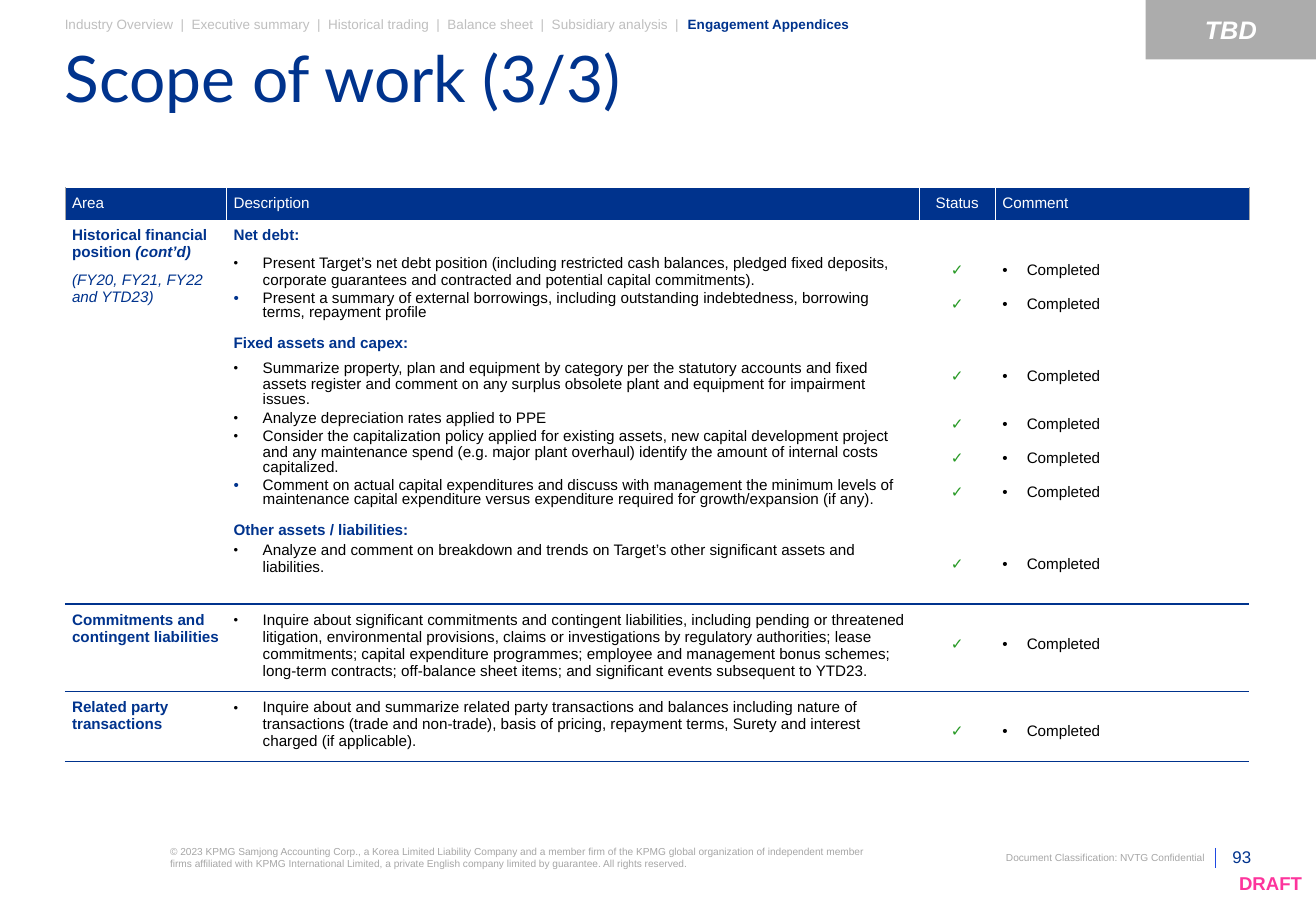
from dataclasses import dataclass, replace
from typing import Optional

from lxml.etree import SubElement
from pptx import Presentation
from pptx.dml.color import RGBColor
from pptx.enum.shapes import MSO_CONNECTOR as Connector, MSO_SHAPE as Shape
from pptx.enum.text import MSO_ANCHOR as Anchor, PP_ALIGN as Align
from pptx.oxml.ns import qn
from pptx.util import Pt

NAVY = RGBColor(0x00, 0x33, 0x8D)
BLUE = RGBColor(0x1E, 0x49, 0xE2)
PINK = RGBColor(0xFD, 0x34, 0x9C)
GREEN = RGBColor(0x26, 0x99, 0x24)
BLACK = RGBColor(0x00, 0x00, 0x00)
WHITE = RGBColor(0xFF, 0xFF, 0xFF)
TAG_GREY = RGBColor(0xAC, 0xAC, 0xAC)
FOOTER_GREY = RGBColor(0xA6, 0xA6, 0xA6)
CRUMB_GREY = RGBColor(0xBF, 0xBF, 0xBF)

INSET = 4.32
BLANK_LINE = 14.35  # one 9 pt line with its spacing
TICK_GAP = 6


@dataclass(frozen=True)
class Span:
    text: str
    color: RGBColor = BLACK
    bold: bool = False
    italic: bool = False
    size: float = 9
    font: str = "Arial"


@dataclass(frozen=True)
class Para:
    spans: tuple[Span, ...]
    before: float = 0
    after: float = 0
    spacing: Optional[float] = None
    align: Align = Align.LEFT
    indent: float = 0
    bullet_percent: int = 100
    bullet_color: Optional[RGBColor] = None


@dataclass(frozen=True)
class Label:
    para: Para
    left: float
    top: float
    width: float
    height: float
    anchor: Anchor = Anchor.TOP
    inset_top: float = 0


@dataclass(frozen=True)
class Area:
    name: tuple[Para, ...]
    description: tuple[Para, ...]
    first_tick: float  # distance of the first tick below the cell inset
    tick_gaps: tuple[float, ...]
    height: float


def area_name(*spans: Span) -> Para:
    return Para(spans, after=6)


def heading(text: str, before: float = 6, after: float = 6) -> Para:
    return Para((Span(text, NAVY, bold=True),), before, after)


def task(text: str, spacing: Optional[float] = None, after: float = 2) -> Para:
    return Para((Span(text),), after=after, spacing=spacing, indent=17.28, bullet_percent=85)


def blue_task(text: str) -> Para:
    return replace(task(text, 0.85), bullet_percent=100, bullet_color=NAVY)


def write(frame, paras: tuple[Para, ...]) -> None:
    frame.word_wrap = True
    for index, para in enumerate(paras):
        line = frame.paragraphs[0] if index == 0 else frame.add_paragraph()
        line.alignment = para.align
        line.space_before, line.space_after = Pt(para.before), Pt(para.after)
        if para.spacing:
            line.line_spacing = para.spacing
        if para.indent:
            props = line._p.get_or_add_pPr()
            props.set("marL", str(Pt(para.indent)))
            props.set("indent", str(-Pt(para.indent)))
            if para.bullet_color:
                color = SubElement(props, qn("a:buClr"))
                SubElement(color, qn("a:srgbClr")).set("val", str(para.bullet_color))
            SubElement(props, qn("a:buSzPct")).set("val", str(para.bullet_percent * 1000))
            SubElement(props, qn("a:buFont")).set("typeface", "Arial")
            SubElement(props, qn("a:buChar")).set("char", "•")
        for span in para.spans:
            run = line.add_run()
            run.text = span.text
            font = run.font
            font.name, font.size = span.font, Pt(span.size)
            font.bold, font.italic = span.bold, span.italic
            font.color.rgb = span.color


def add_label(slide, label: Label) -> None:
    box = slide.shapes.add_textbox(Pt(label.left), Pt(label.top), Pt(label.width), Pt(label.height))
    frame = box.text_frame
    frame.margin_left = frame.margin_right = frame.margin_bottom = 0
    frame.margin_top = Pt(label.inset_top)
    frame.vertical_anchor = label.anchor
    write(frame, (label.para,))


def fill_cell(cell, paras: tuple[Para, ...], fill: RGBColor,
              borders: dict[str, tuple[RGBColor, float]], top: float = INSET) -> None:
    cell.margin_left = cell.margin_right = cell.margin_bottom = Pt(INSET)
    cell.margin_top = Pt(top)
    write(cell.text_frame, paras)
    props = cell._tc.get_or_add_tcPr()
    for side in "LRTB":
        border = SubElement(props, qn(f"a:ln{side}"))
        if side in borders:
            color, width = borders[side]
            border.set("w", str(Pt(width)))
            solid = SubElement(border, qn("a:solidFill"))
            SubElement(solid, qn("a:srgbClr")).set("val", str(color))
        else:
            border.set("w", "0")
            SubElement(border, qn("a:noFill"))
    cell.fill.solid()
    cell.fill.fore_color.rgb = fill


COLUMNS = (("Area", 95.75), ("Description", 410.75), ("Status", 45), ("Comment", 150.5))
HEADER_HEIGHT = 19

AREAS = (
    Area(
        (area_name(Span("Historical financial position", NAVY, True), Span(" (cont’d)", NAVY, True, True)),
         area_name(Span("(FY20, FY21, FY22 and YTD23)", NAVY, italic=True))),
        (heading("Net debt:", before=0),
         task("Present Target’s net debt position (including restricted cash balances, pledged fixed deposits, corporate guarantees and contracted and potential capital commitments)."),
         blue_task("Present a summary of external borrowings, including outstanding indebtedness, borrowing terms, repayment profile"),
         heading("Fixed assets and capex:"),
         task("Summarize property, plan and equipment by category per the statutory accounts and fixed assets register and comment on any surplus obsolete plant and equipment for impairment issues.", 0.9),
         task("Analyze depreciation rates applied to PPE", 0.9),
         task("Consider the capitalization policy applied for existing assets, new capital development project and any maintenance spend (e.g. major plant overhaul) identify the amount of internal costs capitalized.", 0.9),
         blue_task("Comment on actual capital expenditures and discuss with management the minimum levels of maintenance capital expenditure versus expenditure required for growth/expansion (if any)."),
         heading("Other assets / liabilities:", after=2),
         task("Analyze and comment on breakdown and trends on Target’s other significant assets and liabilities.")),
        BLANK_LINE + TICK_GAP,
        (0, TICK_GAP, 2 * BLANK_LINE, BLANK_LINE, TICK_GAP, TICK_GAP, 2 * BLANK_LINE), 216),
    Area((area_name(Span("Commitments and contingent liabilities", NAVY, True)),),
         (task("Inquire about significant commitments and contingent liabilities, including pending or threatened litigation, environmental provisions, claims or investigations by regulatory authorities; lease commitments; capital expenditure programmes; employee and management bonus schemes; long-term contracts; off-balance sheet items; and significant events subsequent to YTD23.", after=6),),
         BLANK_LINE, (0,), 49.2),
    Area((area_name(Span("Related party transactions", NAVY, True)),),
         (task("Inquire about and summarize related party transactions and balances including nature of transactions (trade and non-trade), basis of pricing, repayment terms, Surety and interest charged (if applicable).", after=6),),
         BLANK_LINE, (0,), 39.7),
)

LABELS = (
    # Breadcrumb and title
    Label(Para((Span("Industry Overview  |  Executive summary  |  Historical trading  |  Balance sheet  |  Subsidiary analysis  |  ", CRUMB_GREY, size=8),
                Span("Engagement Appendices", NAVY, True, size=8)), spacing=1.1), 38.4, 8.6, 631.4, 10.1),
    Label(Para((Span("Scope of work (3/3)", NAVY, size=38, font="Lato"),), spacing=0.7), 38.4, 35.3, 702, 56.9),
    # Footer
    Label(Para((Span("© 2023 KPMG Samjong Accounting Corp., a Korea Limited Liability Company and a member firm of the KPMG global organization of independent member firms affiliated with KPMG International Limited, a private English company limited by guarantee. All rights reserved.", FOOTER_GREY, size=6),)),
          100.8, 501.1, 425.5, 14.4),
    Label(Para((Span("Document Classification: NVTG Confidential", FOOTER_GREY, size=6),), align=Align.RIGHT),
          584, 504.7, 130, 7.2),
    Label(Para((Span("93", NAVY, size=10),), align=Align.RIGHT), 722.2, 502.6, 19.4, 11.5, Anchor.BOTTOM),
    Label(Para((Span("DRAFT", PINK, True, size=11),), spacing=0.8, align=Align.RIGHT),
          725, 513.4, 46.8, 19.4, Anchor.MIDDLE, 2.9),
)


def add_scope_table(slide) -> None:
    height = HEADER_HEIGHT + sum(area.height for area in AREAS)
    width = sum(column_width for _, column_width in COLUMNS)
    table = slide.shapes.add_table(len(AREAS) + 1, len(COLUMNS), Pt(38.4), Pt(111.2), Pt(width), Pt(height)).table
    table.first_row = table.horz_banding = False

    # Header row
    table.rows[0].height = Pt(HEADER_HEIGHT)
    for index, (name, column_width) in enumerate(COLUMNS):
        table.columns[index].width = Pt(column_width)
        outer, inner = (FOOTER_GREY, 0.25), (WHITE, 0.75)
        borders = {"L": inner if index else outer,
                   "R": inner if index < len(COLUMNS) - 1 else outer,
                   "T": (WHITE, 0.25)}
        align = Align.CENTER if name == "Status" else Align.LEFT
        cell = table.cell(0, index)
        cell.vertical_anchor = Anchor.MIDDLE
        fill_cell(cell, (Para((Span(name, WHITE),), after=6, spacing=0.97, align=align),), NAVY, borders)

    # One row per area of work
    for row, area in enumerate(AREAS, start=1):
        table.rows[row].height = Pt(area.height)
        ticks = tuple(Para((Span("✓", GREEN),), gap, 4, align=Align.CENTER) for gap in area.tick_gaps)
        comments = tuple(Para((Span("Completed"),), gap, 4, indent=14.4) for gap in area.tick_gaps)
        tick_top = INSET + area.first_tick
        contents = ((area.name, INSET), (area.description, INSET), (ticks, tick_top), (comments, tick_top))
        for column, (paras, top) in enumerate(contents):
            fill_cell(table.cell(row, column), paras, WHITE, {"B": (NAVY, 0.75)}, top)


def main() -> None:
    deck = Presentation()
    deck.slide_width, deck.slide_height = Pt(780), Pt(540)
    slide = deck.slides.add_slide(deck.slide_layouts[6])

    for label in LABELS:
        add_label(slide, label)
    add_scope_table(slide)

    # Divider beside the page number
    divider = slide.shapes.add_connector(Connector.STRAIGHT, Pt(720.7), Pt(502.6), Pt(720.7), Pt(514.8))
    divider.line.color.rgb, divider.line.width = BLUE, Pt(0.5)
    SubElement(divider._element.spPr, qn("a:effectLst"))

    # Corner tag
    tag = slide.shapes.add_shape(Shape.RECTANGLE, Pt(679), 0, Pt(101), Pt(35.3))
    tag.shadow.inherit = False
    tag.fill.solid()
    tag.fill.fore_color.rgb = TAG_GREY
    tag.line.fill.background()
    tag.text_frame.vertical_anchor = Anchor.MIDDLE
    write(tag.text_frame, (Para((Span("TBD", WHITE, True, True, 15),), align=Align.CENTER),))

    deck.save("out.pptx")


if __name__ == "__main__":
    main()
